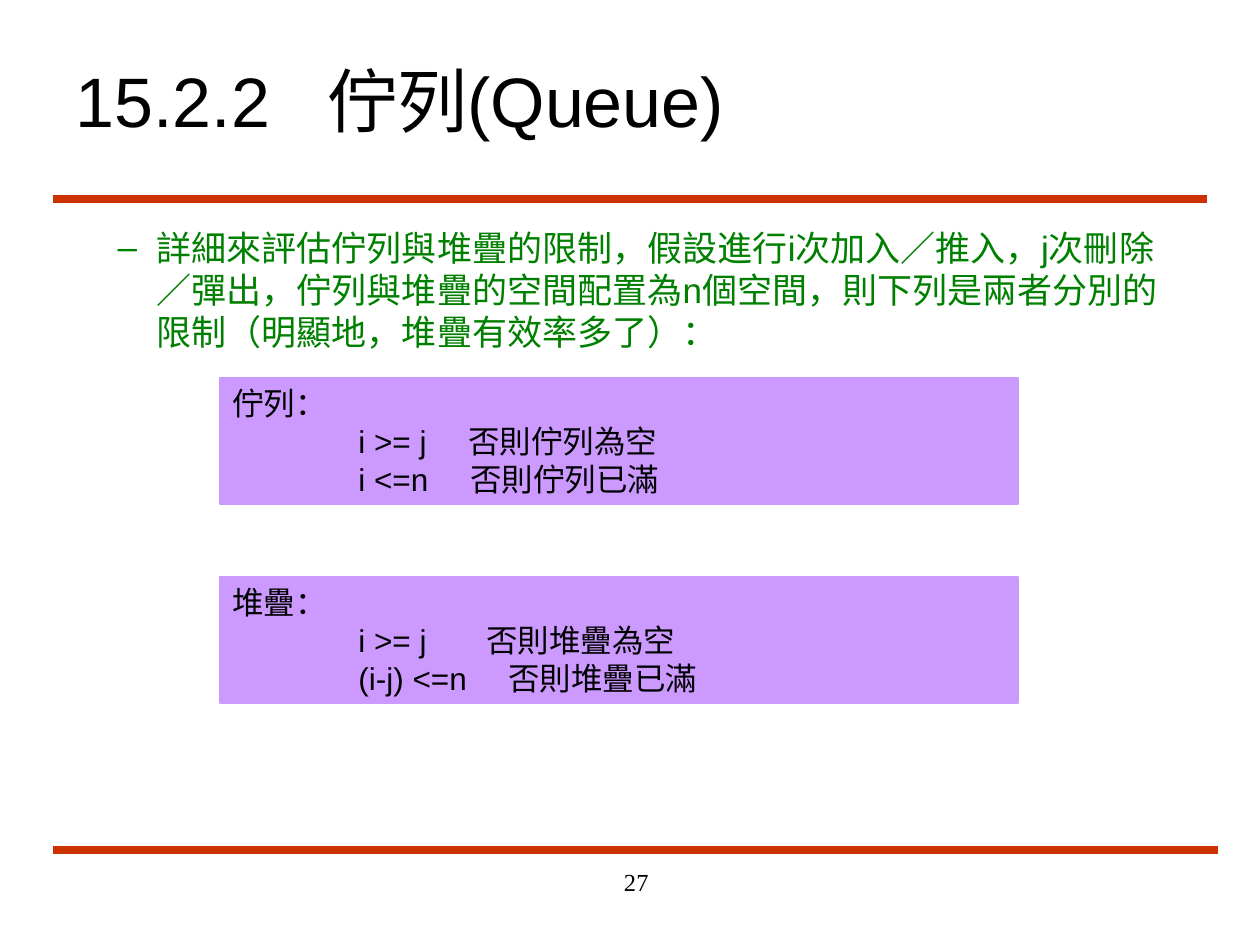
from lxml.etree import SubElement
from pptx import Presentation
from pptx.dml.color import RGBColor
from pptx.enum.shapes import MSO_CONNECTOR, MSO_SHAPE
from pptx.enum.text import MSO_ANCHOR, MSO_AUTO_SIZE, PP_ALIGN
from pptx.oxml.ns import qn
from pptx.util import Emu, Pt

PIXELS_PER_INCH = 126
RED, GREEN, VIOLET, BLACK = "CC3300", "008000", "CC99FF", "000000"


def px(length):
    """Turn whole pixels into EMU."""
    return Emu(round(length * 914400 / PIXELS_PER_INCH))


def color(hex_string):
    """Turn a hex string into a colour."""
    return RGBColor.from_string(hex_string)


def place(shape, left, top, width, height):
    """Move and size a shape in pixels."""
    shape.left, shape.top = px(left), px(top)
    shape.width, shape.height = px(width), px(height)


def add_bullet(paragraph, character, hex_string, margin, hanging):
    """Give a paragraph a coloured bullet and a hanging indent."""
    properties = paragraph._p.get_or_add_pPr()
    properties.set("marL", str(px(margin)))
    properties.set("indent", str(-px(hanging)))
    bullet_color = SubElement(properties, qn("a:buClr"))
    SubElement(bullet_color, qn("a:srgbClr"), val=hex_string)
    SubElement(properties, qn("a:buChar"), char=character)


def add_tabs(paragraph, positions):
    """Give a paragraph left tab stops."""
    tab_list = SubElement(paragraph._p.get_or_add_pPr(), qn("a:tabLst"))
    for position in positions:
        SubElement(tab_list, qn("a:tab"), pos=str(px(position)), algn="l")


def write(paragraph, text, size=18, font="Arial", fill=BLACK,
          align=PP_ALIGN.LEFT, tabs=()):
    """Write formatted text into a paragraph."""
    if tabs:
        add_tabs(paragraph, tabs)
    paragraph.alignment = align
    paragraph.space_before = Pt(0)
    run = paragraph.add_run()
    run.text = text
    run.font.size, run.font.name = Pt(size), font
    run.font.color.rgb = color(fill)


def set_frame(shape, anchor=MSO_ANCHOR.TOP):
    """Make the text of a shape wrap at a fixed size and return its frame."""
    frame = shape.text_frame
    frame.word_wrap = True
    frame.auto_size = MSO_AUTO_SIZE.NONE
    frame.vertical_anchor = anchor
    return frame


def add_rule(slide, left, right, y):
    """Draw a thick horizontal rule."""
    rule = slide.shapes.add_connector(
        MSO_CONNECTOR.STRAIGHT, px(left), px(y), px(right), px(y))
    rule.line.color.rgb = color(RED)
    rule.line.width = Pt(4.5)
    SubElement(rule._element.spPr, qn("a:effectLst"))


def add_limits(slide, top, heading, limits):
    """Add a box with a heading and rows of condition, remark and remark tab."""
    box = slide.shapes.add_shape(
        MSO_SHAPE.RECTANGLE, px(220), px(top), px(798), px(126))
    box.shadow.inherit = False
    box.fill.solid()
    box.fill.fore_color.rgb = color(VIOLET)
    box.line.color.rgb = color(VIOLET)
    box.line.width = Pt(0.75)
    frame = set_frame(box)
    write(frame.paragraphs[0], heading)
    for condition, remark, remark_tab in limits:
        write(frame.add_paragraph(), f"\t{condition}\t{remark}",
              tabs=(126, remark_tab))


def main():
    """Build the slide and save it."""
    presentation = Presentation()
    presentation.slide_width, presentation.slide_height = px(1260), px(945)
    slide = presentation.slides.add_slide(presentation.slide_layouts[1])
    title, body = slide.placeholders

    add_rule(slide, 53, 1207, 199)
    add_rule(slide, 53, 1218, 850)

    place(title, 63, 42, 1102, 116)
    write(set_frame(title, MSO_ANCHOR.MIDDLE).paragraphs[0],
          "15.2.2\t佇列(Queue)", size=40, tabs=(126, 252))

    place(body, 42, 220, 1155, 630)
    paragraph = set_frame(body).paragraphs[0]
    paragraph.level = 1
    add_bullet(paragraph, "–", GREEN, margin=102, hanging=39)
    write(paragraph,
          "詳細來評估佇列與堆疊的限制，假設進行i次加入／推入，j次刪除／彈出，"
          "佇列與堆疊的空間配置為n個空間，則下列是兩者分別的限制"
          "（明顯地，堆疊有效率多了）：", size=20, fill=GREEN)

    add_limits(slide, 378, "佇列：", [
        ("i >= j", "否則佇列為空", 236), ("i <=n", "否則佇列已滿", 238)])
    add_limits(slide, 577, "堆疊：", [
        ("i >= j", "否則堆疊為空", 254), ("(i-j) <=n", "否則堆疊已滿", 276)])

    number = slide.shapes.add_textbox(px(399), px(861), px(262), px(63))
    write(set_frame(number).paragraphs[0], "27", size=14,
          font="Times New Roman", align=PP_ALIGN.RIGHT)

    presentation.save("out.pptx")


if __name__ == "__main__":
    main()
